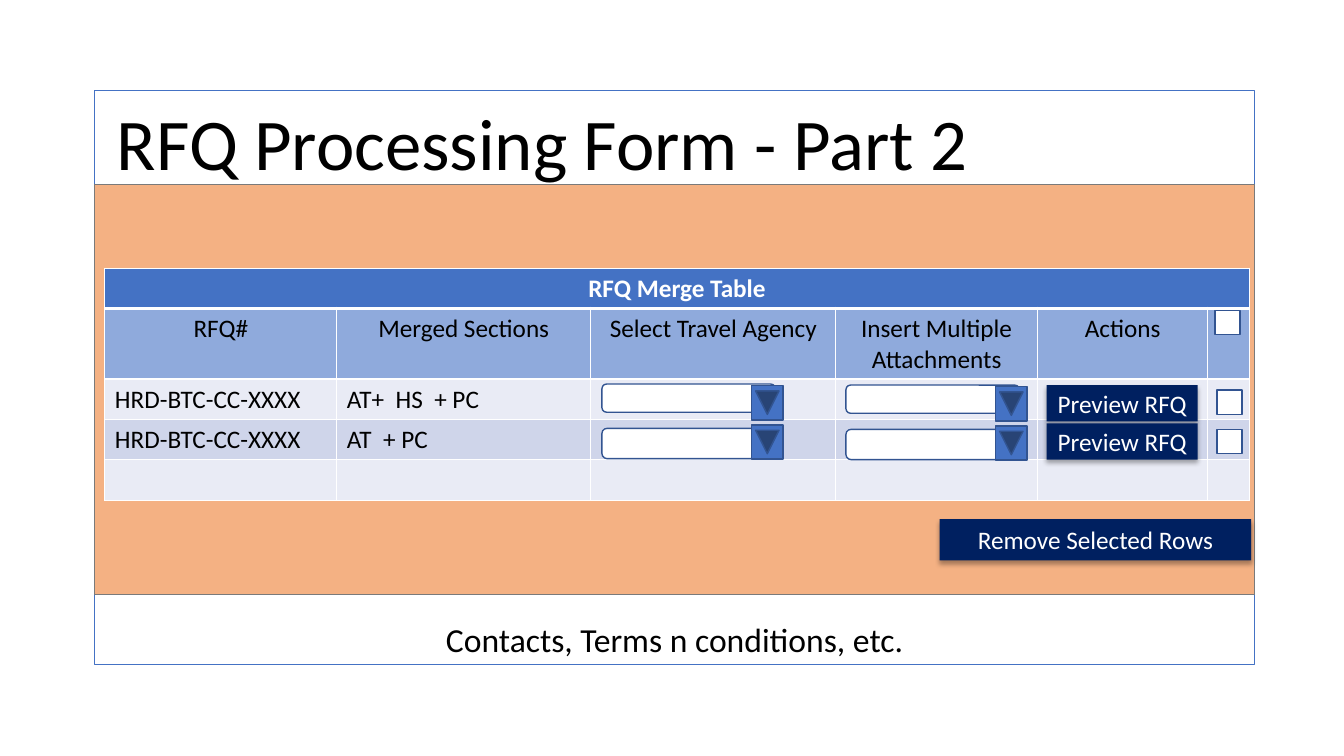
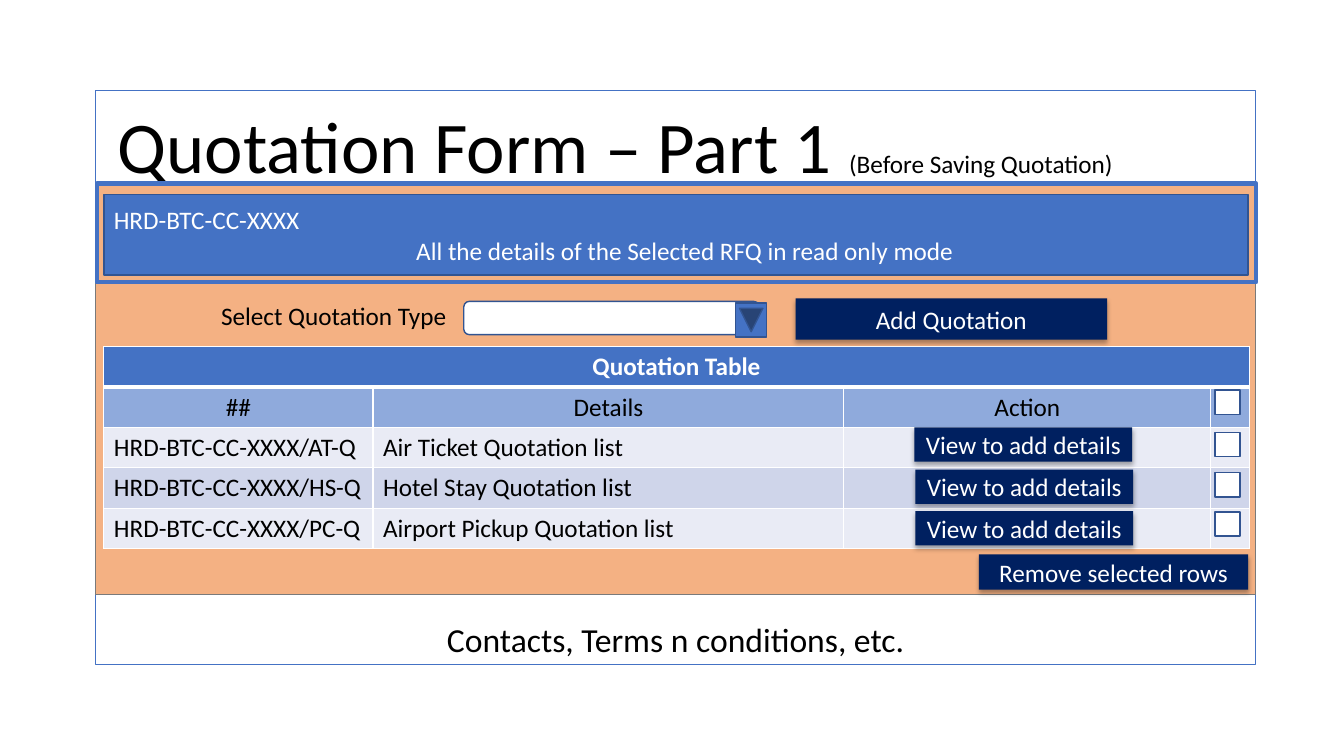
from lxml import etree
from pptx import Presentation
from pptx.dml.color import RGBColor
from pptx.enum.shapes import MSO_SHAPE
from pptx.enum.text import MSO_ANCHOR, PP_ALIGN
from pptx.oxml import parse_xml
from pptx.oxml.ns import nsdecls, qn
from pptx.util import Inches, Pt

# Shared style
FONT = "Calibri"
BLUE, EDGE, NAVY = "4472C4", "325491", "002060"
PEACH, GREY, WHITE, BLACK = "F4B183", "7A7A7A", "FFFFFF", "000000"
HEADING_FILL, ROW_FILLS = "8FAADC", ("E9EBF5", "CFD5EA")
FOOTER = "Contacts, Terms n conditions, etc."
ROW = 0.4

# Content: boxes are (left, top, width, height) in inches
FORMS = [
    {
        "left": 0.94,
        "title": [("RFQ Processing Form - Part 2", 52)],
        "table": {
            "at": (1.04, 2.66),
            "columns": (2.3, 2.52, 2.43, 2, 1.69, 0.41),
            "heights": (ROW, 0.7, ROW, ROW, ROW),
            "title": "RFQ Merge Table",
            "headings": ("RFQ#", "Merged Sections", "Select Travel Agency",
                         "Insert Multiple Attachments", "Actions", ""),
            "rows": [("HRD-BTC-CC-XXXX", "AT+  HS  + PC"),
                     ("HRD-BTC-CC-XXXX", "AT  + PC"),
                     ()],
        },
        "checkboxes": [(12.05, 3.08), (12.07, 3.87), (12.07, 4.26)],
        # Each drop-down: field box, top of its arrow
        "dropdowns": [((5.97, 3.81, 1.72, 0.28), 3.84),
                      ((5.97, 4.25, 1.72, 0.3), 4.23),
                      ((8.39, 3.82, 1.72, 0.28), 3.85),
                      ((8.39, 4.26, 1.72, 0.3), 4.24)],
        "buttons": [("Preview RFQ", (10.38, 3.82, 1.5, 0.36)),
                    ("Preview RFQ", (10.38, 4.2, 1.5, 0.36)),
                    ("Remove Selected Rows", (9.32, 5.15, 3.09, 0.41))],
    },
    {
        "left": 0.95,
        "title": [("Quotation Form – Part 1", 52), (" ", 54),
                  ("(Before Saving Quotation)", 18)],
        "details": ("HRD-BTC-CC-XXXX",
                    "All the details of the Selected RFQ in read only mode"),
        "label": "Select Quotation Type",
        "table": {
            "at": (1.03, 3.44),
            "columns": (2.67, 4.67, 3.64, 0.38),
            "heights": (ROW,) * 5,
            "title": "Quotation Table",
            "headings": ("##", "Details", "Action", ""),
            "rows": [("HRD-BTC-CC-XXXX/AT-Q", "Air Ticket Quotation list"),
                     ("HRD-BTC-CC-XXXX/HS-Q", "Hotel Stay Quotation list"),
                     ("HRD-BTC-CC-XXXX/PC-Q", "Airport Pickup Quotation list")],
        },
        "checkboxes": [(12.05, top) for top in (3.87, 4.29, 4.69, 5.08)],
        "dropdowns": [((4.6, 2.99, 2.93, 0.33), 3.02)],
        "buttons": [("Add Quotation", (7.89, 2.96, 3.09, 0.41)),
                    ("Remove selected rows", (9.71, 5.5, 2.67, 0.35)),
                    ("View to add details", (9.07, 4.24, 2.16, 0.34)),
                    ("View to add details", (9.08, 4.66, 2.16, 0.34)),
                    ("View to add details", (9.08, 5.07, 2.16, 0.34))],
    },
]


def color(value):
    return RGBColor.from_string(value)


def write(paragraph, text, size=18, ink=BLACK, bold=False, align=PP_ALIGN.LEFT):
    paragraph.alignment = align
    span = paragraph.add_run()
    span.text = text
    span.font.name, span.font.size, span.font.bold = FONT, Pt(size), bold
    span.font.color.rgb = color(ink)


def add_box(page, box, fill=None, line=None, width=1, kind=MSO_SHAPE.RECTANGLE):
    shape = page.shapes.add_shape(kind, *map(Inches, box))
    shape.shadow.inherit = False
    if fill:
        shape.fill.solid()
        shape.fill.fore_color.rgb = color(fill)
    else:
        shape.fill.background()
    if line:
        shape.line.color.rgb = color(line)
        shape.line.width = Pt(width)
    else:
        shape.line.fill.background()
    return shape


def add_text(page, box, runs, align=PP_ALIGN.LEFT, wrap=True):
    frame = page.shapes.add_textbox(*map(Inches, box)).text_frame
    frame.word_wrap = wrap
    for text, size in runs:
        write(frame.paragraphs[0], text, size, align=align)


def add_button(page, text, box):
    shape = add_box(page, box, NAVY)
    effects = shape._element.spPr.find(qn("a:effectLst"))
    effects.append(parse_xml(
        f'<a:outerShdw {nsdecls("a")} blurRad="{Pt(3.5)}" dist="{Pt(2.2)}" '
        'dir="5400000" rotWithShape="0"><a:srgbClr val="000000">'
        '<a:alpha val="32000"/></a:srgbClr></a:outerShdw>'))
    frame = shape.text_frame
    frame.vertical_anchor = MSO_ANCHOR.MIDDLE
    write(frame.paragraphs[0], text, ink=WHITE, align=PP_ALIGN.CENTER)


def add_dropdown(page, box, arrow_top):
    add_box(page, box, WHITE, EDGE, kind=MSO_SHAPE.ROUNDED_RECTANGLE)
    arrow_left = box[0] + box[2] - 0.25
    arrow = add_box(page, (arrow_left, arrow_top, 0.34, 0.31), BLUE, EDGE,
                    kind=MSO_SHAPE.ACTION_BUTTON_FORWARD_OR_NEXT)
    arrow.rotation = 90


def style_cell(cell, fill, top=1, bottom=1):
    properties = cell._tc.get_or_add_tcPr()
    for side, width in (("L", 1), ("R", 1), ("T", top), ("B", bottom)):
        border = etree.SubElement(properties, qn(f"a:ln{side}"), w=str(Pt(width)))
        solid = etree.SubElement(border, qn("a:solidFill"))
        etree.SubElement(solid, qn("a:srgbClr"), val=WHITE)
    cell.fill.solid()
    cell.fill.fore_color.rgb = color(fill)


def add_form_table(page, at, columns, heights, title, headings, rows):
    size = (sum(columns), sum(heights))
    table = page.shapes.add_table(len(heights), len(columns),
                                  *map(Inches, at + size)).table
    for column, width in zip(table.columns, columns):
        column.width = Inches(width)
    for row, height in zip(table.rows, heights):
        row.height = Inches(height)

    # Title row across all columns, then headings, then banded rows
    for index in range(len(columns)):
        style_cell(table.cell(0, index), BLUE, bottom=3)
        style_cell(table.cell(1, index), HEADING_FILL, top=3)
        for number in range(len(rows)):
            style_cell(table.cell(number + 2, index), ROW_FILLS[number % 2])
    table.cell(0, 0).merge(table.cell(0, len(columns) - 1))
    write(table.cell(0, 0).text_frame.paragraphs[0], title, ink=WHITE,
          bold=True, align=PP_ALIGN.CENTER)
    for number, texts in enumerate([headings] + rows, 1):
        align = PP_ALIGN.CENTER if number == 1 else PP_ALIGN.LEFT
        for index, text in enumerate(texts):
            if text:
                write(table.cell(number, index).text_frame.paragraphs[0], text,
                      align=align)


def add_details(page, reference, note):
    panel = add_box(page, (1.03, 1.93, 11.35, 0.8), BLUE, EDGE)
    frame = panel.text_frame
    frame.vertical_anchor = MSO_ANCHOR.MIDDLE
    write(frame.paragraphs[0], reference, ink=WHITE)
    para = frame.add_paragraph()
    para._p.get_or_add_pPr().set("marL", str(Inches(3)))
    write(para, note, ink=WHITE)
    add_box(page, (0.96, 1.82, 11.5, 0.98), line=BLUE, width=3)


def add_form(deck, form):
    page = deck.slides.add_slide(deck.slide_layouts[6])
    left = form["left"]

    # Frame, body band, title and footer
    add_box(page, (left, 0.9, 11.5, 5.69), WHITE, BLUE)
    add_box(page, (left, 1.83, 11.5, 4.07), PEACH, GREY)
    add_text(page, (left + 0.12, 0.92, 11.12, 1), form["title"])
    add_text(page, (left - 0.01, 6.09, 11.52, 0.5), [(FOOTER, 24)],
             align=PP_ALIGN.CENTER)

    # Table and controls
    add_form_table(page, **form["table"])
    if "details" in form:
        add_details(page, *form["details"])
    if "label" in form:
        add_text(page, (2.08, 2.93, 2.46, 0.4), [(form["label"], 18)],
                 align=PP_ALIGN.CENTER, wrap=False)
    for at in form["checkboxes"]:
        add_box(page, at + (0.25, 0.24), WHITE, EDGE)
    for box, arrow_top in form["dropdowns"]:
        add_dropdown(page, box, arrow_top)
    for text, box in form["buttons"]:
        add_button(page, text, box)


def main():
    deck = Presentation()
    deck.slide_width, deck.slide_height = Inches(13.33), Inches(7.5)
    for form in FORMS:
        add_form(deck, form)
    deck.save("out.pptx")


if __name__ == "__main__":
    main()
